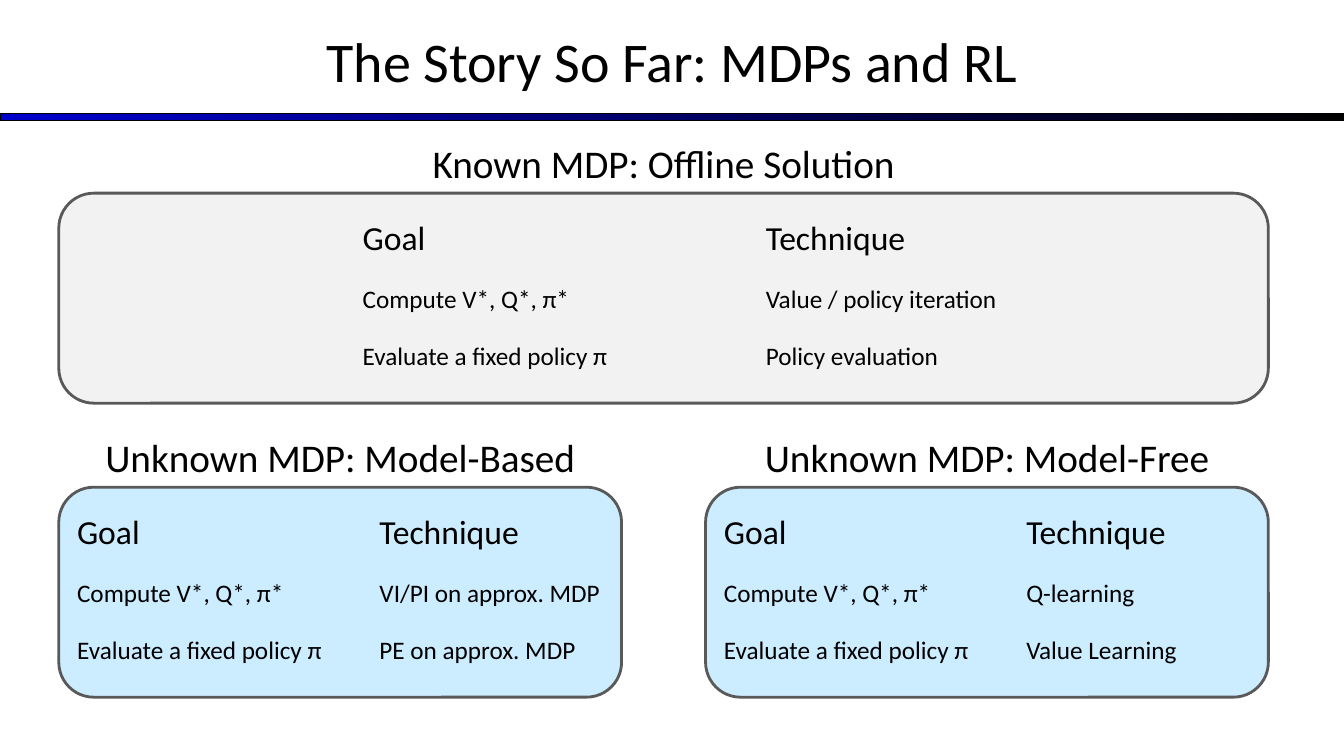
from lxml.etree import SubElement
from pptx import Presentation
from pptx.dml.color import RGBColor
from pptx.enum.shapes import MSO_SHAPE
from pptx.enum.text import MSO_ANCHOR, MSO_AUTO_SIZE, PP_ALIGN
from pptx.oxml.ns import qn
from pptx.util import Inches, Pt

# The slide is a grid of 160 columns and 90 rows, each 1/12 inch
COLUMNS, ROWS = 160, 90
HEADING_ROWS, PANEL_ROWS = 7, 25


def grid(units):
    return Inches(units / 12)


def color(hex_string):
    return RGBColor.from_string(hex_string)


def add_line(frame, text, size, first=False, align=PP_ALIGN.LEFT, space=0, tab=None):
    """Write one paragraph, with an optional tab stop in grid columns."""
    line = frame.paragraphs[0] if first else frame.add_paragraph()
    line.alignment = align
    line.space_before = Pt(space)
    if tab:
        stops = SubElement(line._p.get_or_add_pPr(), qn("a:tabLst"))
        SubElement(stops, qn("a:tab"), pos=str(grid(tab)), algn="l")
    run = line.add_run()
    run.text = text
    run.font.name = "Calibri"
    run.font.size = Pt(size)
    run.font.color.rgb = color("000000")


def add_frame(slide, left, top, width, height):
    box = slide.shapes.add_textbox(grid(left), grid(top), grid(width), grid(height))
    box.text_frame.word_wrap = True
    return box.text_frame


def add_outlined(slide, kind, left, top, width, height, line, weight):
    shape = slide.shapes.add_shape(kind, grid(left), grid(top), grid(width), grid(height))
    shape.shadow.inherit = False
    shape.line.color.rgb = color(line)
    shape.line.width = Pt(weight)
    return shape


def add_header(slide, height):
    # Title
    title = slide.shapes.title
    title.left, title.top = 0, 0
    title.width, title.height = grid(COLUMNS), grid(height)
    frame = title.text_frame
    frame.auto_size = MSO_AUTO_SIZE.NONE
    frame.vertical_anchor = MSO_ANCHOR.MIDDLE
    add_line(frame, "The Story So Far: MDPs and RL", 40, first=True, align=PP_ALIGN.CENTER)

    # Gradient rule
    rule = add_outlined(slide, MSO_SHAPE.RECTANGLE, 0, 13.5, COLUMNS, 0.9, "000000", 0.75)
    rule.fill.gradient()
    rule.fill.gradient_angle = 0
    for stop, position, shade in zip(rule.fill.gradient_stops, (0, 1), ("0000CC", "000000")):
        stop.position = position
        stop.color.rgb = color(shade)


def add_setting(slide, left, top, width, heading, fill, techniques, inset, tab):
    """Draw a heading above a panel that pairs each goal with its technique."""
    # Heading
    frame = add_frame(slide, left, top, width, HEADING_ROWS)
    add_line(frame, heading, 28, first=True, align=PP_ALIGN.CENTER)

    # Panel
    panel_top = top + HEADING_ROWS
    panel = add_outlined(slide, MSO_SHAPE.ROUNDED_RECTANGLE, left, panel_top, width,
                         PANEL_ROWS, "595959", 2)
    panel.fill.solid()
    panel.fill.fore_color.rgb = color(fill)

    # Goals and techniques
    frame = add_frame(slide, left + inset, panel_top + 2.2, width - inset, PANEL_ROWS - 3)
    add_line(frame, "Goal\tTechnique", 24, first=True, tab=tab)
    goals = ("Compute V*, Q*, π*", "Evaluate a fixed policy π")
    for goal, technique in zip(goals, techniques):
        add_line(frame, f"{goal}\t{technique}", 18, space=19, tab=tab)


def main():
    deck = Presentation()
    deck.slide_width, deck.slide_height = grid(COLUMNS), grid(ROWS)
    slide = deck.slides.add_slide(deck.slide_layouts[5])
    add_header(slide, 14.3)
    add_setting(slide, 7, 16, 144, "Known MDP: Offline Solution", "F2F2F2",
                ("Value / policy iteration", "Policy evaluation"), inset=35, tab=48)
    unknown = (
        (7, "Unknown MDP: Model-Based", ("VI/PI on approx. MDP", "PE on approx. MDP")),
        (84, "Unknown MDP: Model-Free", ("Q-learning", "Value Learning")),
    )
    for left, heading, techniques in unknown:
        add_setting(slide, left, 51, 67, heading, "CCECFF", techniques, inset=1, tab=36)
    deck.save("out.pptx")


if __name__ == "__main__":
    main()
